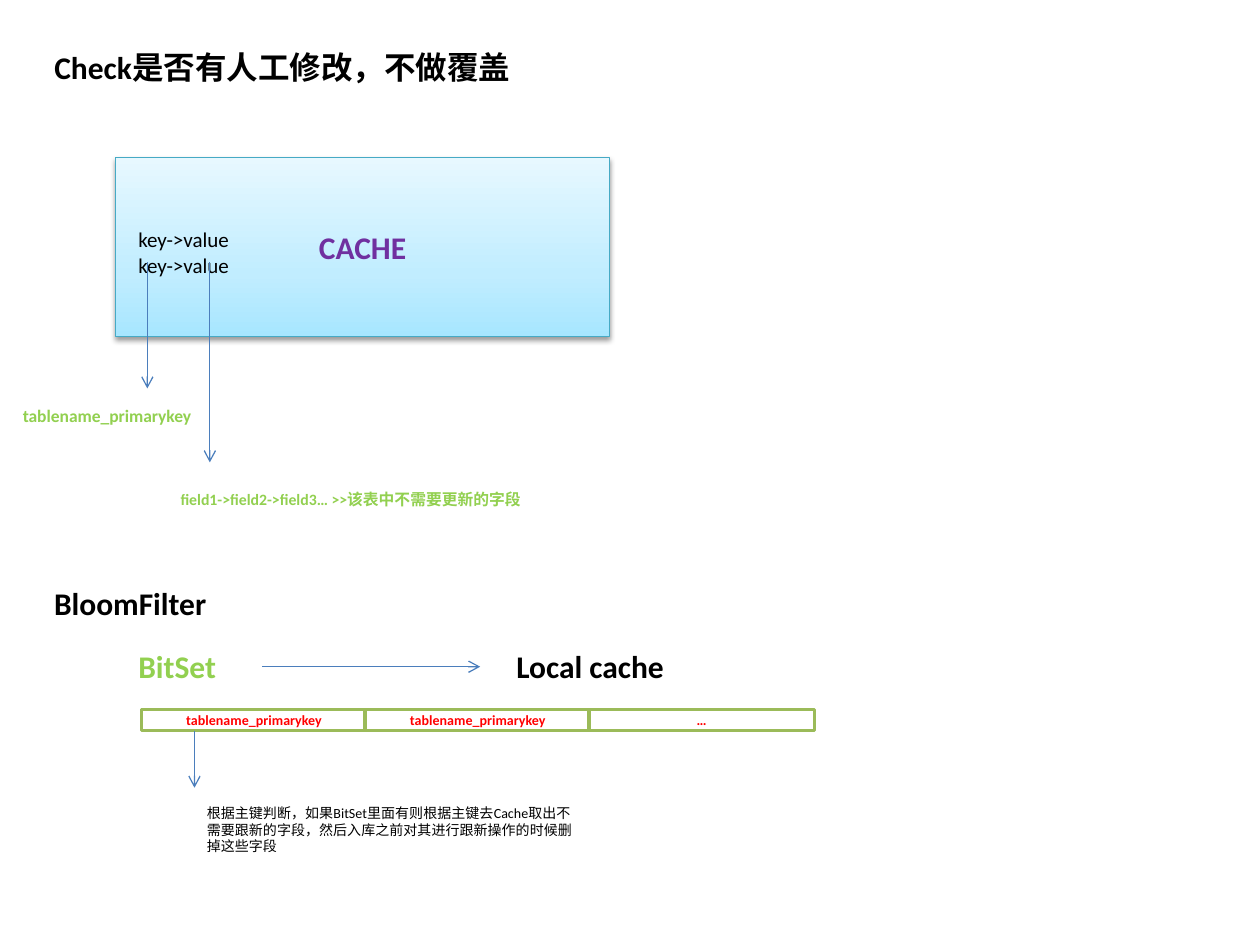
from copy import deepcopy

from lxml import etree
from pptx import Presentation
from pptx.dml.color import RGBColor
from pptx.enum import shapes, text
from pptx.oxml import ns
from pptx.util import Cm, Pt

INK = {
    "black": "000000", "white": "FFFFFF", "green": "92D050", "olive": "9BBB59",
    "red": "FF0000", "purple": "7030A0", "blue": "4B7EBC", "teal": "46AAC5",
    "deep": "A7E6FF", "mid": "C1EDFF", "pale": "E7F8FF",
}


def rgb(name):
    return RGBColor.from_string(INK[name])


def add(node, tag, **attrs):
    return etree.SubElement(node, ns.qn(tag), attrs)


def write(frame, words, size, ink, bold=False, align=text.PP_ALIGN.LEFT):
    frame.word_wrap = True
    frame.text = words
    for para in frame.paragraphs:
        para.alignment = align
        font = para.font
        font.name, font.size, font.bold = "Calibri", Pt(size), bold
        font.color.rgb = rgb(ink)


def label(slide, x, y, w, h, words, size, ink="black", bold=True):
    box = slide.shapes.add_textbox(Cm(x), Cm(y), Cm(w), Cm(h))
    write(box.text_frame, words, size, ink, bold)


def block(slide, x, y, w, h, words, size, ink, edge, width):
    """Add an outlined rectangle with bold centred text."""
    box = slide.shapes.add_shape(shapes.MSO_SHAPE.RECTANGLE, Cm(x), Cm(y), Cm(w), Cm(h))
    box.line.color.rgb = rgb(edge)
    box.line.width = Pt(width)
    box.shadow.inherit = False
    box.text_frame.vertical_anchor = text.MSO_ANCHOR.MIDDLE
    write(box.text_frame, words, size, ink, True, text.PP_ALIGN.CENTER)
    return box


def arrow(slide, x, y, dx, dy):
    line = slide.shapes.add_connector(
        shapes.MSO_CONNECTOR.STRAIGHT, Cm(x), Cm(y), Cm(x + dx), Cm(y + dy))
    line.line.color.rgb = rgb("blue")
    line.line.width = Pt(0.75)
    add(line.line._get_or_add_ln(), "a:tailEnd", type="arrow")
    add(line._element.spPr, "a:effectLst")


def shade(box):
    """Give a box the upward blue gradient and a soft shadow."""
    fill = box.fill
    fill.gradient()
    fill.gradient_angle = 90
    first = box._element.spPr.find(".//" + ns.qn("a:gs"))
    first.addnext(deepcopy(first))
    for stop, ink, at in zip(fill.gradient_stops, ("deep", "mid", "pale"), (0, 0.35, 1)):
        stop.color.rgb = rgb(ink)
        stop.position = at
    glow = add(box._element.spPr.find(ns.qn("a:effectLst")), "a:outerShdw",
               blurRad=str(Pt(3.1)), dist=str(Pt(1.6)), dir="5400000", rotWithShape="0")
    add(add(glow, "a:srgbClr", val=INK["black"]), "a:alpha", val="38000")


def heading(slide, x, y, w, h):
    title = slide.shapes.title
    title.left, title.top, title.width, title.height = Cm(x), Cm(y), Cm(w), Cm(h)
    frame = title.text_frame
    write(frame, "Check是否有人工修改，不做覆盖", 18, "black", True)
    frame.vertical_anchor = text.MSO_ANCHOR.TOP
    frame.auto_size = text.MSO_AUTO_SIZE.NONE


def store(slide, x, y, w, h):
    """Draw the key-value store and what its keys and values hold."""
    shade(block(slide, x, y, w, h, "CACHE", 18, "purple", "teal", 0.75))
    label(slide, x + 0.21, y + 1.27, 4.88, 1.27, "key->value\nkey->value", 12, bold=False)
    arrow(slide, x + 0.64, y + 2.11, 0, 2.54)
    label(slide, x - 2.12, y + 4.87, 4.02, 0.68, "tablename_primarykey", 10, "green")
    arrow(slide, x + 1.9, y + 2.11, 0, 4.03)
    label(slide, x + 1.06, y + 6.56, 8.05, 0.64,
          "field1->field2->field3… >>该表中不需要更新的字段", 9, "green")


def bloom(slide, x, y):
    """Draw the filter section: bit set, local cache, cells and note."""
    label(slide, x, y, 9.74, 1.03, "BloomFilter", 18)
    label(slide, x + 1.7, y + 1.27, 2.75, 1.03, "BitSet", 18, "green")
    arrow(slide, x + 4.45, y + 1.8, 4.39, 0)
    label(slide, x + 9.32, y + 1.27, 3.6, 1.03, "Local cache", 18)
    for i, words in enumerate(["tablename_primarykey"] * 2 + ["…"]):
        cell = block(slide, x + 2.01 + 4.51 * i, y + 2.66, 4.55, 0.43,
                     words, 8, "red", "olive", 2)
        cell.fill.solid()
        cell.fill.fore_color.rgb = rgb("white")
    arrow(slide, x + 3.08, y + 3.09, 0, 1.15)
    label(slide, x + 3.08, y + 4.45, 7.93, 1.27,
          "根据主键判断，如果BitSet里面有则根据主键去Cache取出"
          "不需要跟新的字段，然后入库之前对其进行跟新操作的时候删掉这些字段",
          8, bold=False)


def main():
    deck = Presentation()
    deck.slide_width, deck.slide_height = Cm(25.4), Cm(19.05)
    slide = deck.slides.add_slide(deck.slide_layouts[5])
    heading(slide, 0.84, 0.84, 10.36, 1.03)
    store(slide, 2.33, 3.18, 9.96, 3.6)
    bloom(slide, 0.84, 11.64)
    deck.save("out.pptx")


if __name__ == "__main__":
    main()
